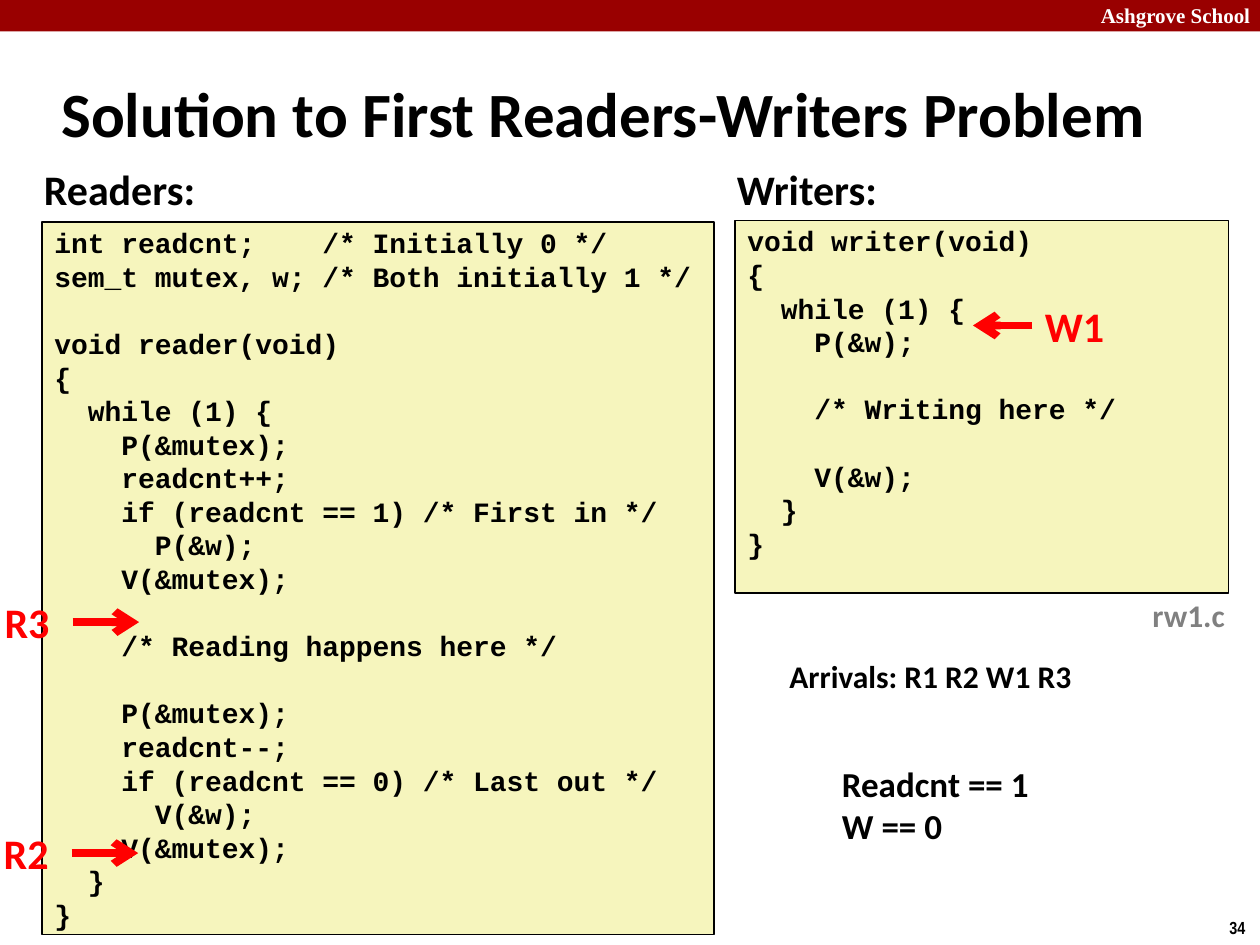
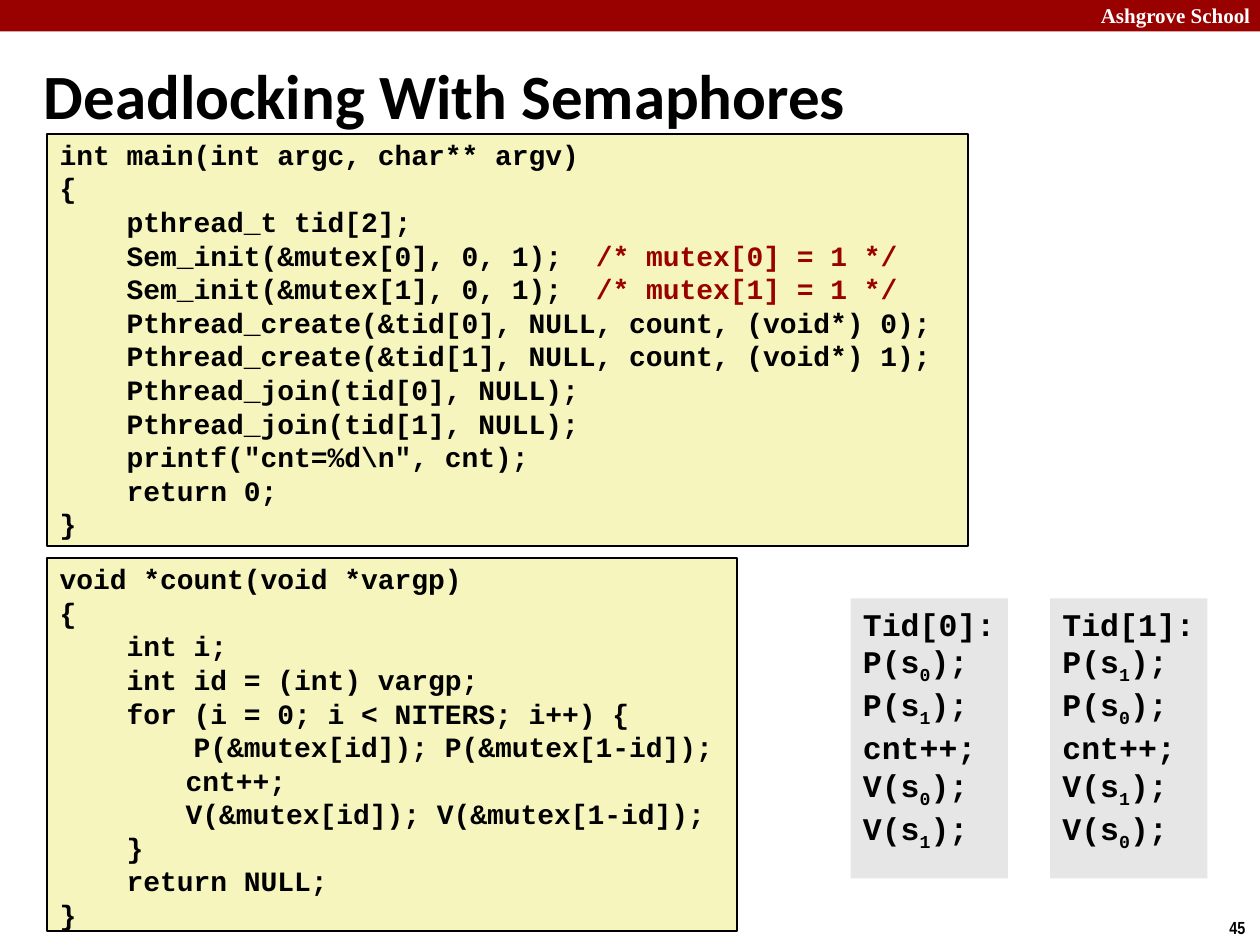
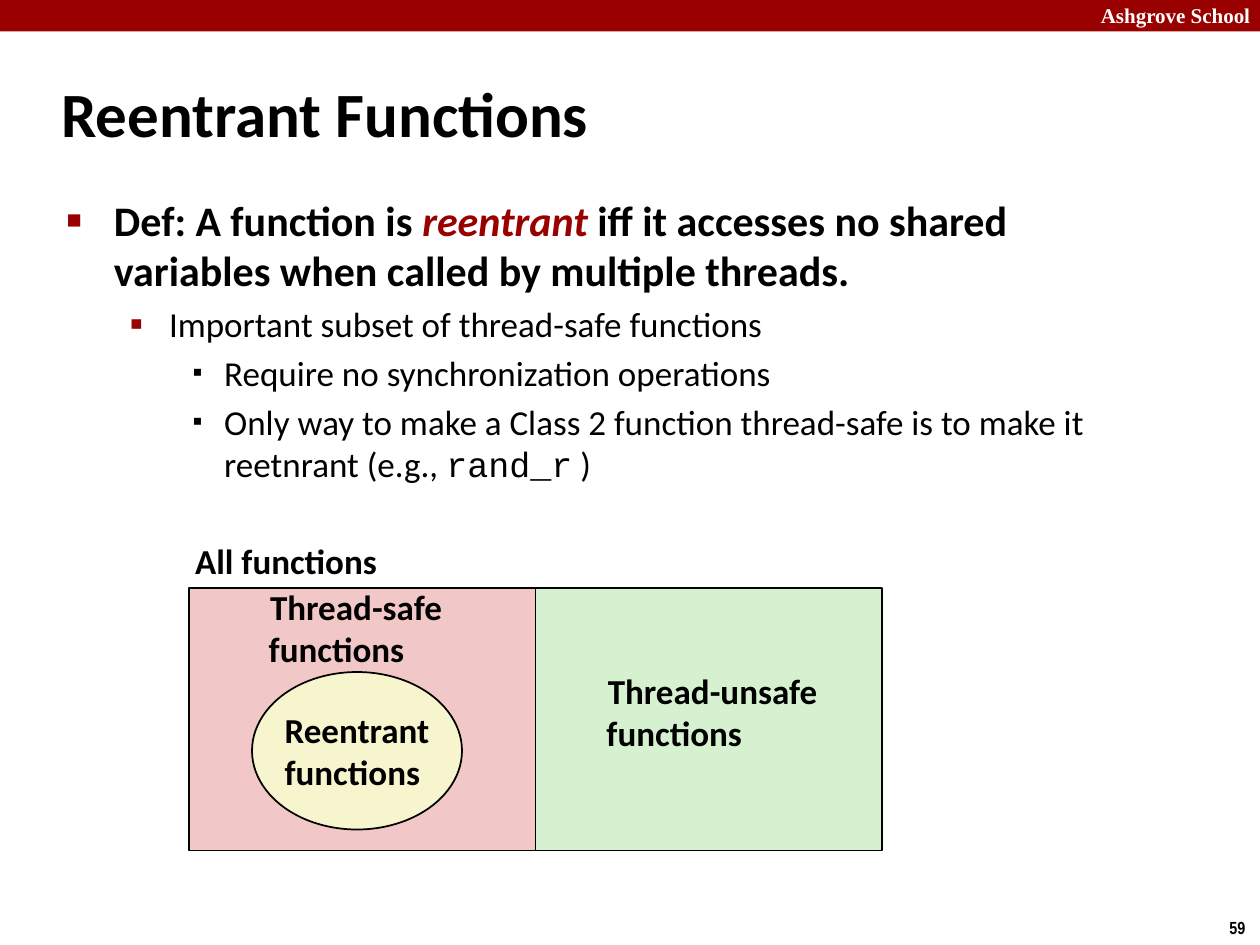
from lxml import etree
from pptx import Presentation, util as u
from pptx.dml.color import RGBColor
from pptx.enum import shapes, text
from pptx.oxml.ns import qn

COLORS = {
    "band": "990000", "accent": "990000", "black": "000000", "white": "FFFFFF",
    "code": "F6F5BD", "thread": "E6E6E6", "marker": "FF0000", "file": "808080",
    "safe": "F1C7C7", "unsafe": "D5F1CF", "reentrant": "F7F5CD",
}
BODY, MONO = "Calibri", "Courier New"
CODE_LINE = 19.2
CODE_TAB = 72

READER_CODE = """int readcnt;    /* Initially 0 */
sem_t mutex, w; /* Both initially 1 */

void reader(void)
{
  while (1) {
    P(&mutex);
    readcnt++;
    if (readcnt == 1) /* First in */
      P(&w);
    V(&mutex);

    /* Reading happens here */

    P(&mutex);
    readcnt--;
    if (readcnt == 0) /* Last out */
      V(&w);
    V(&mutex);
  }
}"""

WRITER_CODE = """void writer(void)
{
  while (1) {
    P(&w);

    /* Writing here */

    V(&w);
  }
}"""

MAIN_CODE = r"""int main(int argc, char** argv)
{
    pthread_t tid[2];
    Sem_init(&mutex[0], 0, 1);  /* mutex[0] = 1 */
    Sem_init(&mutex[1], 0, 1);  /* mutex[1] = 1 */
    Pthread_create(&tid[0], NULL, count, (void*) 0);
    Pthread_create(&tid[1], NULL, count, (void*) 1);
    Pthread_join(tid[0], NULL);
    Pthread_join(tid[1], NULL);
    printf("cnt=%d\n", cnt);
    return 0;
}"""

COUNT_CODE = """void *count(void *vargp)
{
    int i;
    int id = (int) vargp;
    for (i = 0; i < NITERS; i++) {
        P(&mutex[id]); P(&mutex[1-id]);
\tcnt++;
\tV(&mutex[id]); V(&mutex[1-id]);
    }
    return NULL;
}"""


def rgb(name):
    """Return the named colour."""
    return RGBColor.from_string(COLORS[name])


def points(*lengths):
    """Convert numbers to lengths in points."""
    return [u.Pt(length) for length in lengths]


def add_run(paragraph, words, size, color="black", font=BODY, bold=True,
            italic=False, subscript=False):
    """Append one formatted run."""
    run = paragraph.add_run()
    run.text = words
    run.font.name = font
    run.font.size = u.Pt(size)
    run.font.bold = bold
    run.font.italic = italic
    run.font.color.rgb = rgb(color)
    if subscript:
        run._r.get_or_add_rPr().set("baseline", "-25000")


def next_paragraph(frame):
    """Return the first paragraph while it is empty, otherwise a new one."""
    first = frame.paragraphs[0]
    paragraph = frame.add_paragraph() if first.runs else first
    paragraph.alignment = text.PP_ALIGN.LEFT
    return paragraph


def set_indent(paragraph, left, hanging=0):
    """Set the left margin and hanging indent, and return the properties."""
    properties = paragraph._p.get_or_add_pPr()
    properties.set("marL", str(u.Pt(left)))
    properties.set("indent", str(-u.Pt(hanging)))
    return properties


def add_lines(frame, lines, size, centered=False, **style):
    """Write plain lines, centring the first one if asked."""
    for line in lines:
        add_run(next_paragraph(frame), line, size, **style)
    if centered:
        frame.paragraphs[0].alignment = text.PP_ALIGN.CENTER


def add_label(slide, box, words, size, anchor=text.MSO_ANCHOR.TOP, wrap=False, **style):
    """Add a text box with one paragraph per line of words."""
    label = slide.shapes.add_textbox(*points(*box))
    label.text_frame.word_wrap = wrap
    label.text_frame.vertical_anchor = anchor
    add_lines(label.text_frame, words.split("\n"), size, **style)
    return label


def add_box(slide, box, fill, outlined=True, kind=shapes.MSO_SHAPE.RECTANGLE):
    """Add a filled shape, outlined in black or not at all."""
    shape = slide.shapes.add_shape(kind, *points(*box))
    shape.shadow.inherit = False
    shape.fill.solid()
    shape.fill.fore_color.rgb = rgb(fill)
    if outlined:
        shape.line.color.rgb = rgb("black")
        shape.line.width = u.Pt(1)
    else:
        shape.line.fill.background()
    shape.text_frame.word_wrap = False
    return shape


def add_code(slide, box, code, comment_color="black"):
    """Add a code panel, with blank lines as spacing and tabs as indents."""
    frame = add_box(slide, box, "code").text_frame
    frame.vertical_anchor = text.MSO_ANCHOR.TOP
    frame.margin_top, frame.margin_bottom = points(2, 0)
    gap = 0
    for line in code.split("\n"):
        if not line:
            gap += CODE_LINE
            continue
        paragraph = next_paragraph(frame)
        paragraph.space_before = u.Pt(gap)
        gap = 0
        if line.startswith("\t"):
            set_indent(paragraph, CODE_TAB)
        statement, mark, comment = line.lstrip("\t").partition("/*")
        if statement:
            add_run(paragraph, statement, 16, font=MONO)
        if mark:
            add_run(paragraph, mark + comment, 16, comment_color, MONO)


def add_thread(slide, left, thread):
    """Add the semaphore operations of one thread."""
    frame = add_box(slide, (left, 342, 90, 160), "thread", outlined=False).text_frame
    frame.vertical_anchor = text.MSO_ANCHOR.TOP
    add_lines(frame, [f"Tid[{thread}]:"], 18, font=MONO)
    for operation in "PV":
        for semaphore in (thread, 1 - thread):
            paragraph = next_paragraph(frame)
            add_run(paragraph, f"{operation}(s", 18, font=MONO)
            add_run(paragraph, str(semaphore), 18, font=MONO, subscript=True)
            add_run(paragraph, ");", 18, font=MONO)
        if operation == "P":
            add_lines(frame, ["cnt++;"], 18, font=MONO)


def add_marker(slide, box, name, length, side):
    """Add a thread name with an arrow starting at the given side."""
    label = add_label(slide, box, name, 24, color="marker")
    left, top, width, height = box
    start = left + (width if side == 3 else 0)
    middle = top + height / 2
    arrow = slide.shapes.add_connector(
        shapes.MSO_CONNECTOR.STRAIGHT, *points(start, middle, start + length, middle))
    arrow.begin_connect(label, side)
    arrow.line.color.rgb = rgb("marker")
    arrow.line.width = u.Pt(4.5)
    etree.SubElement(arrow.line._get_or_add_ln(), qn("a:tailEnd"), type="arrow")
    etree.SubElement(arrow._element.spPr, qn("a:effectLst"))


def add_bullet(frame, level, runs):
    """Add a bulleted paragraph of (words, style) runs."""
    indent, hanging, size, symbol, scale, color = (
        (27, 27, 24, "■", 60, "accent"),
        (58.5, 22.5, 20, "▪", 110, "accent"),
        (90, 18, 20, "▪", 80, "black"),
    )[level]
    paragraph = next_paragraph(frame)
    paragraph.level = level
    paragraph.space_before = u.Pt(size / 5)
    properties = set_indent(paragraph, indent, hanging)
    bullet_color = etree.SubElement(properties, qn("a:buClr"))
    etree.SubElement(bullet_color, qn("a:srgbClr"), val=COLORS[color])
    etree.SubElement(properties, qn("a:buSzPct"), val=str(scale * 1000))
    etree.SubElement(properties, qn("a:buFont"), typeface="Arial")
    etree.SubElement(properties, qn("a:buChar"), char=symbol)
    for words, style in runs:
        add_run(paragraph, words, size, bold=level == 0, **style)


def add_slide(presentation, title, number, title_box=(28, 34, 674, 60)):
    """Add a slide with its band, school name, number and title."""
    slide = presentation.slides.add_slide(presentation.slide_layouts[6])
    add_box(slide, (0, 0, 720, 18), "band", outlined=False)
    add_label(slide, (622, -2, 103, 22), "Ashgrove School", 12,
              color="white", font="Times New Roman")
    add_label(slide, (695.5, 520.5, 24.5, 19.5), str(number), 10, font="Arial Narrow")
    add_label(slide, title_box, title, 36, text.MSO_ANCHOR.MIDDLE, wrap=True)
    return slide


def build_readers_writers(presentation):
    """Build the readers-writers solution slide."""
    slide = add_slide(presentation, "Solution to First Readers-Writers Problem", 34)
    add_code(slide, (24, 127, 384, 407), READER_CODE)
    add_code(slide, (420, 126, 282, 213), WRITER_CODE)
    add_label(slide, (18, 90, 102, 36), "Readers:", 24)
    add_label(slide, (414, 90, 95, 36), "Writers:", 24)
    add_label(slide, (651.5, 337, 56, 29), "rw1.c", 18, color="file")
    add_label(slide, (444, 372, 177, 29), "Arrivals: R1 R2 W1 R3", 18)
    add_label(slide, (474, 432, 122, 55.5), "Readcnt == 1\nW == 0", 20)
    add_marker(slide, (-5, 469.5, 46, 36), "R2", 38, 3)
    add_marker(slide, (590, 168, 54, 36), "W1", -34, 1)
    add_marker(slide, (-4.5, 337.5, 46, 36), "R3", 38, 3)


def build_deadlock(presentation):
    """Build the semaphore deadlock slide."""
    slide = add_slide(presentation, "Deadlocking With Semaphores", 45, (18, 24, 598, 60))
    add_code(slide, (27, 76.5, 526, 235.5), MAIN_CODE, "accent")
    add_code(slide, (27, 319, 394, 213), COUNT_CODE)
    for thread in range(2):
        add_thread(slide, 486 + 114 * thread, thread)


def build_reentrant(presentation):
    """Build the reentrant functions slide."""
    slide = add_slide(presentation, "Reentrant Functions", 59)
    body = slide.shapes.add_textbox(*points(31, 107.5, 622, 185)).text_frame
    body.word_wrap = True
    add_bullet(body, 0, [
        ("Def: A function is ", {}),
        ("reentrant ", {"color": "accent", "italic": True}),
        ("iff it accesses no shared variables when called by multiple threads.", {})])
    add_bullet(body, 1, [("Important subset of thread-safe functions", {})])
    add_bullet(body, 2, [("Require no synchronization operations", {})])
    add_bullet(body, 2, [
        ("Only way to make a Class 2 function thread-safe is to make it reetnrant (e.g., ", {}),
        ("rand_r", {"font": MONO}),
        (" )", {})])
    for left, fill in ((108, "safe"), (306, "unsafe")):
        add_box(slide, (left, 336, 198, 150), fill)
    oval = add_box(slide, (144, 384, 120, 90), "reentrant", kind=shapes.MSO_SHAPE.OVAL)
    oval.text_frame.vertical_anchor = text.MSO_ANCHOR.MIDDLE
    add_lines(oval.text_frame, ["Reentrant", "functions"], 20, centered=True)
    for box, words in (((103.5, 304.5, 120, 31.5), "All functions"),
                       ((339.5, 379, 135.5, 55.5), "Thread-unsafe\nfunctions"),
                       ((146.5, 331, 114, 55.5), "Thread-safe\nfunctions")):
        add_label(slide, box, words, 20, text.MSO_ANCHOR.MIDDLE, centered=True)


def main():
    """Build and save the presentation."""
    presentation = Presentation()
    presentation.slide_width, presentation.slide_height = points(720, 540)
    build_readers_writers(presentation)
    build_deadlock(presentation)
    build_reentrant(presentation)
    presentation.save("out.pptx")


if __name__ == "__main__":
    main()
